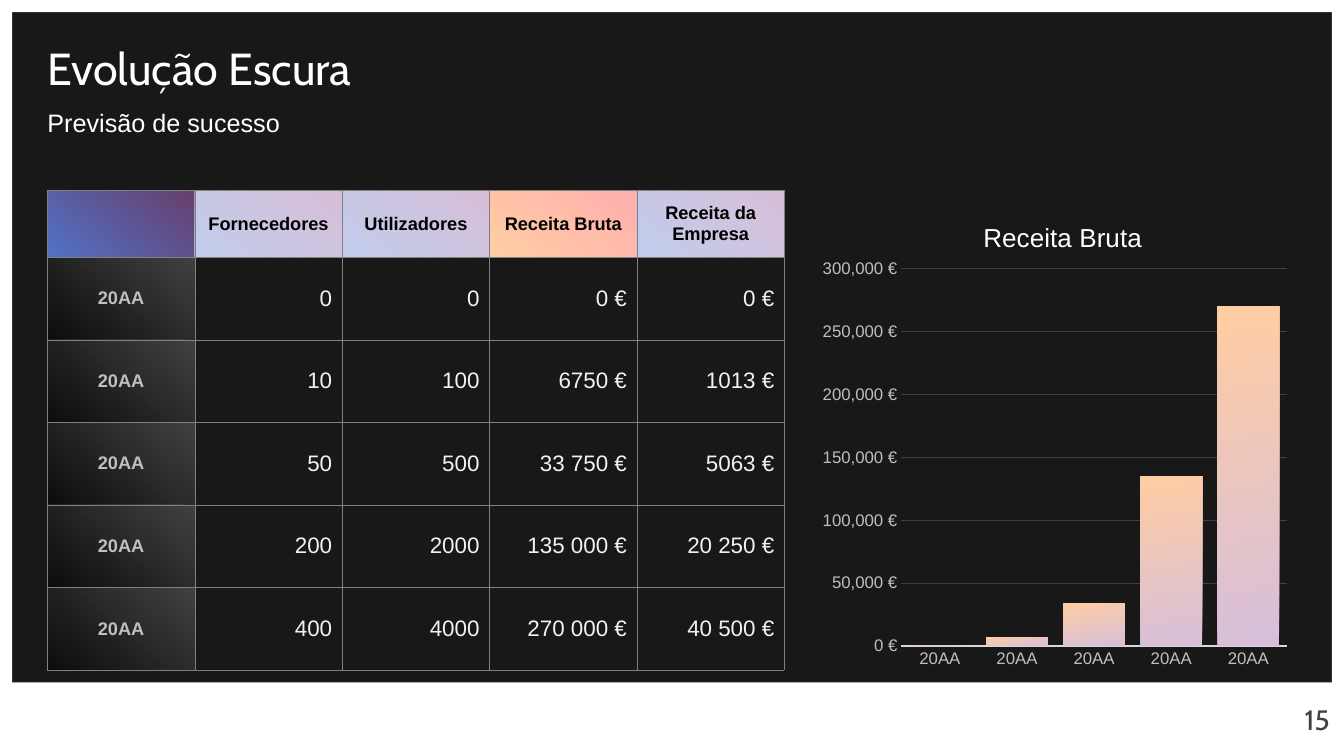
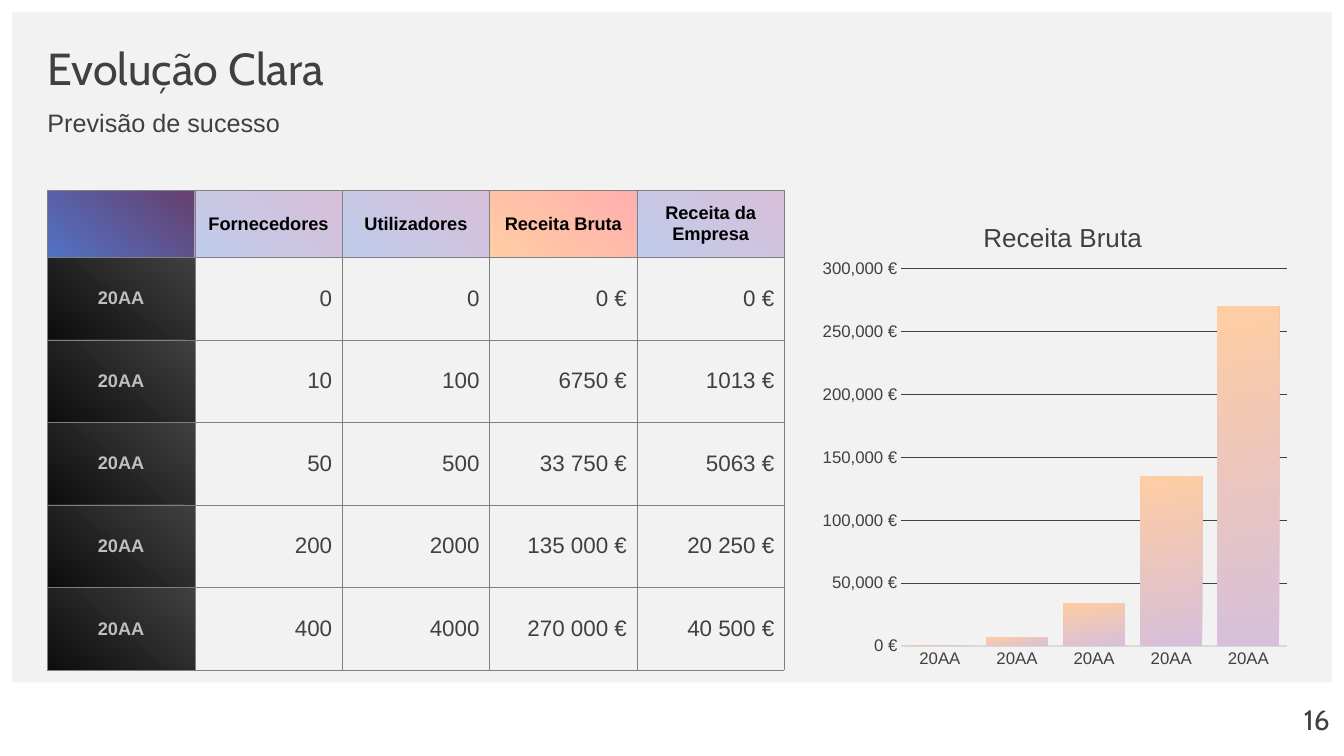
from pptx import Presentation
from pptx.chart.data import CategoryChartData
from pptx.dml.color import RGBColor
from pptx.enum.chart import XL_CHART_TYPE as ChartType, XL_TICK_MARK as Tick
from pptx.enum.shapes import MSO_SHAPE as Preset
from pptx.enum.text import MSO_ANCHOR as Anchor, MSO_AUTO_SIZE as AutoSize, PP_ALIGN as Align
from pptx.oxml import parse_xml
from pptx.oxml.ns import nsdecls
from pptx.util import Inches, Pt


def paint(fill, *colors, angle=230):
    if len(colors) == 1:
        fill.solid()
        fill.fore_color.rgb = RGBColor.from_string(colors[0])
        return
    fill.gradient()
    fill.gradient_angle = angle
    for stop, color in zip(fill.gradient_stops, colors):
        stop.color.rgb = RGBColor.from_string(color)


def style(font, color, **values):
    for name, value in values.items():
        setattr(font, name, value)
    paint(font.fill, color)


WIDTH, HEIGHT = Inches(13.33), Inches(7.5)
MARGIN = Inches(0.47)
CONTENT = WIDTH - 2 * MARGIN
BAND_TOP = Inches(6.77)
BODY_TOP = Inches(1.89)
COLUMN, HEADER_ROW, ROW = Inches(7.31) // 5, Inches(0.66), Inches(0.82)
CHART_LEFT = Inches(8.08)
WHITE, DARK, SILVER = "FFFFFF", "404040", "BFBFBF"
LILAC = ("D7BFDA", "C0CCEA")
PEACH = ("FFAFAE", "FFCDA3")
HEADER_FILLS = [("673F6D", "5172C5"), LILAC, LILAC, PEACH, LILAC]
YEAR_FILL = (DARK, "0D0D0D")
YEAR = "20AA"

ROWS = [
    ["", "Fornecedores", "Utilizadores", "Receita Bruta", "Receita da Empresa"],
    [YEAR, "0", "0", "0 €", "0 €"],
    [YEAR, "10", "100", "6750 €", "1013 €"],
    [YEAR, "50", "500", "33 750 €", "5063 €"],
    [YEAR, "200", "2000", "135 000 €", "20 250 €"],
    [YEAR, "400", "4000", "270 000 €", "40 500 €"],
]
REVENUE = [0, 7000, 34000, 135000, 270000]
PAGES = [
    {"title": "Evolução Escura", "number": "15", "back": "181818",
     "text": WHITE, "cell": "F2F2F2", "axis": SILVER},
    {"title": "Evolução Clara", "number": "16", "back": "F2F2F2",
     "text": DARK, "cell": DARK, "axis": DARK},
]

deck = Presentation()
deck.slide_width, deck.slide_height = WIDTH, HEIGHT
layout = deck.slide_layouts[5]

for theme in PAGES:
    page = deck.slides.add_slide(layout)
    paint(page.background.fill, theme["back"])

    title = page.shapes.title
    subtitle = page.shapes.add_textbox(0, 0, 0, 0)
    number = page.shapes.add_textbox(0, 0, 0, 0)
    texts = [
        (title, theme["title"], (MARGIN, MARGIN, CONTENT, Inches(0.47)),
         "Cabin", 32, theme["text"], Anchor.MIDDLE, Align.LEFT, 0.9),
        (subtitle, "Previsão de sucesso", (MARGIN, Inches(1.1), CONTENT, Inches(0.39)),
         "Arial", 18, theme["text"], Anchor.TOP, Align.LEFT, 0.9),
        (number, theme["number"], (Inches(12.78), Inches(6.83), Inches(0.41), Inches(0.61)),
         "Cabin", 20, DARK, Anchor.MIDDLE, Align.RIGHT, 1.0),
    ]
    for box, text, place, family, size, color, anchor, align, spacing in texts:
        box.left, box.top, box.width, box.height = place
        frame = box.text_frame
        frame_format = {"text": text, "word_wrap": True, "auto_size": AutoSize.NONE,
                        "vertical_anchor": anchor, "margin_left": 0, "margin_right": 0,
                        "margin_top": 0, "margin_bottom": 0}
        for name, value in frame_format.items():
            setattr(frame, name, value)
        para = frame.paragraphs[0]
        para.alignment, para.line_spacing = align, spacing
        style(para.runs[0].font, color, name=family, size=Pt(size))

    table = page.shapes.add_table(
        len(ROWS), 5, MARGIN, BODY_TOP, 5 * COLUMN, HEADER_ROW + 5 * ROW).table
    table.first_row = table.horz_banding = False
    for column in table.columns:
        column.width = COLUMN
    for r, values in enumerate(ROWS):
        table.rows[r].height = ROW if r else HEADER_ROW
        for c, value in enumerate(values):
            cell = table.cell(r, c)
            cell.vertical_anchor = Anchor.MIDDLE
            properties = cell._tc.get_or_add_tcPr()
            for side in "LRTB":
                properties.append(parse_xml(
                    f'<a:ln{side} {nsdecls("a")} w="3175"><a:solidFill>'
                    f'<a:srgbClr val="808080"/></a:solidFill></a:ln{side}>'))
            label = r == 0 or c == 0
            if label:
                paint(cell.fill, *(YEAR_FILL if r else HEADER_FILLS[c]))
                color = SILVER if r else "000000"
            else:
                cell.fill.background()
                color = theme["cell"]
            para = cell.text_frame.paragraphs[0]
            para.alignment = Align.CENTER if label else Align.RIGHT
            if value:
                span = para.add_run()
                span.text = value
                style(span.font, color, name="Arial", size=Pt(13 if label else 16), bold=label)

    data = CategoryChartData()
    data.categories = [YEAR] * len(REVENUE)
    data.add_series("Series 1", REVENUE)
    chart = page.shapes.add_chart(
        ChartType.COLUMN_CLUSTERED, CHART_LEFT, BODY_TOP,
        MARGIN + CONTENT - CHART_LEFT, Inches(4.86), data).chart
    chart.has_legend = False
    style(chart.font, theme["text"], name="Arial", size=Pt(10))
    chart.has_title = True
    heading = chart.chart_title.text_frame
    heading.text = "Receita Bruta"
    style(heading.paragraphs[0].runs[0].font, theme["text"],
          name="Arial", size=Pt(18.6), bold=False)

    plot = chart.plots[0]
    plot.gap_width, plot.vary_by_categories = 25, False
    paint(plot.series[0].format.fill, LILAC[0], PEACH[1], angle=100)

    for axis in (chart.category_axis, chart.value_axis):
        axis.major_tick_mark = axis.minor_tick_mark = Tick.NONE
        style(axis.tick_labels.font, theme["axis"], name="Arial", size=Pt(12))
    base_line = chart.category_axis.format.line
    grid_line = chart.value_axis.major_gridlines.format.line
    for line, color in ((base_line, "D9D9D9"), (grid_line, DARK)):
        line.width = Pt(0.75)
        paint(line.fill, color)
    scale = chart.value_axis
    scale.format.line.fill.background()
    scale.minimum_scale, scale.maximum_scale, scale.major_unit = 0, 300000, 50000
    scale.tick_labels.number_format = '#,##0\\ "€"'
    scale.tick_labels.number_format_is_linked = False

    areas = [
        ("title", 1, {"xMode": "edge", "yMode": "edge", "x": 0.34, "y": 0.05}),
        ("plotArea", 0, {"layoutTarget": "inner", "xMode": "edge", "yMode": "edge",
                         "x": 0.18, "y": 0.16, "w": 0.8, "h": 0.77}),
    ]
    for area, position, settings in areas:
        parent = chart.element.xpath(f"c:chart/c:{area}")[0]
        for previous in parent.xpath("c:layout"):
            parent.remove(previous)
        items = "".join(f'<c:{key} val="{value}"/>' for key, value in settings.items())
        parent.insert(position, parse_xml(
            f'<c:layout {nsdecls("c")}><c:manualLayout>{items}</c:manualLayout></c:layout>'))

band = page.shapes.add_shape(Preset.RECTANGLE, 0, BAND_TOP, WIDTH, HEIGHT - BAND_TOP)
border = page.shapes.add_shape(Preset.FRAME, 0, 0, WIDTH, HEIGHT)
border.adjustments[0] = 0.12 / 7.5
for shape in (border, band):
    shape.shadow.inherit = False
    paint(shape.fill, WHITE)
    shape.line.fill.background()
    layout.shapes.element.insert(2, shape.element)

deck.save("out.pptx")
